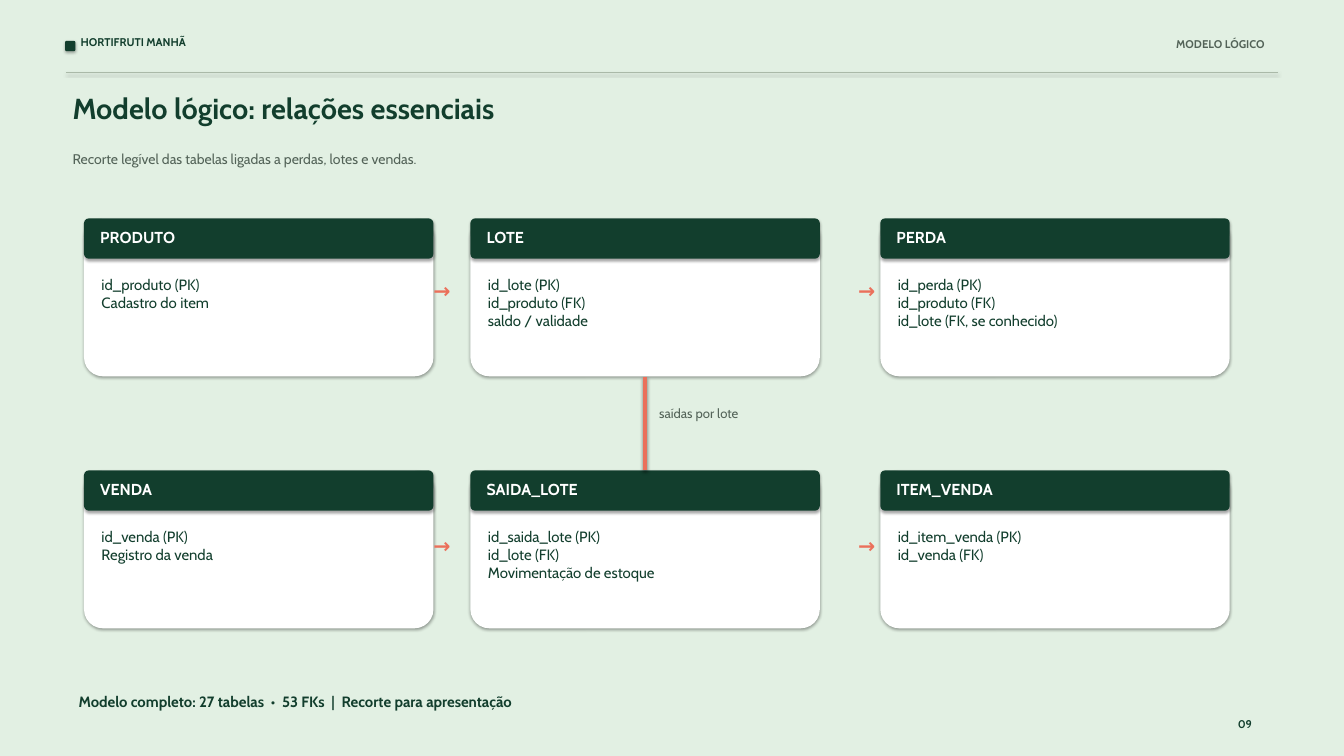
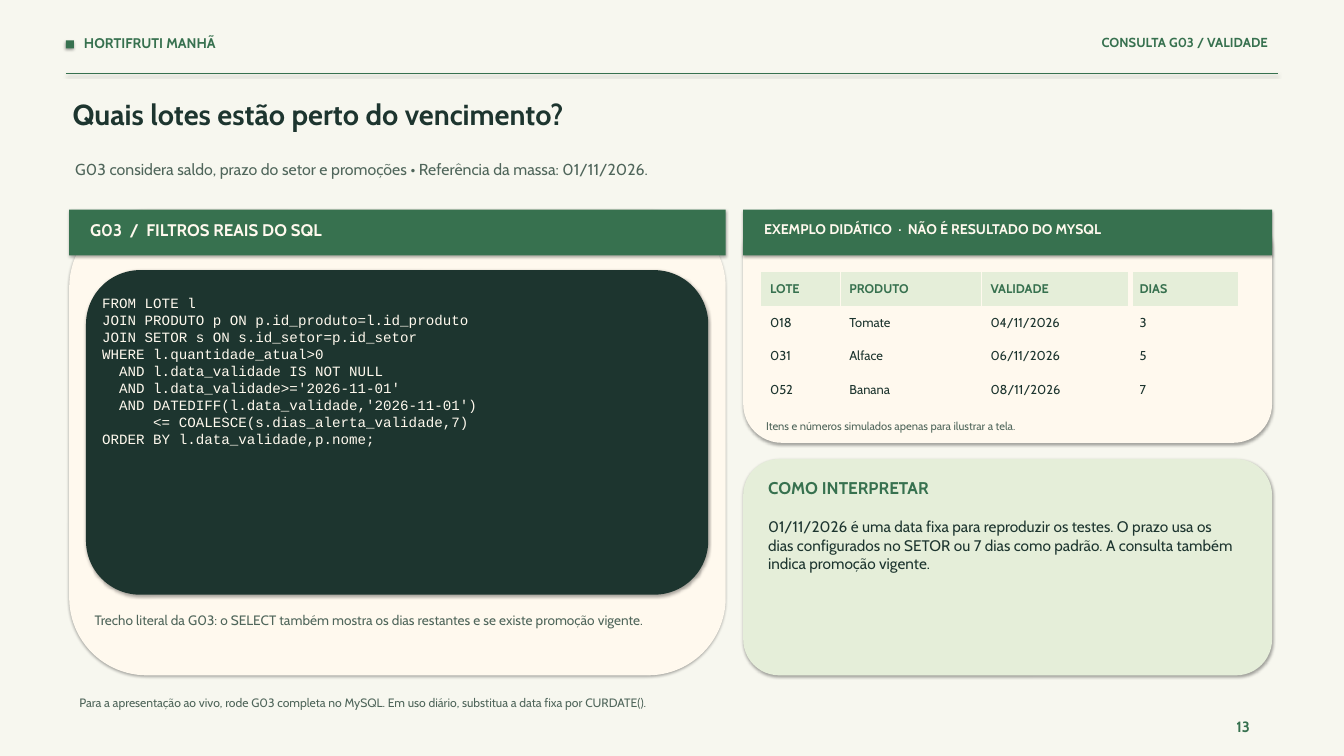
from lxml import etree
from pptx import Presentation
from pptx.dml.color import RGBColor
from pptx.enum.shapes import MSO_CONNECTOR, MSO_SHAPE
from pptx.enum.text import MSO_ANCHOR, MSO_AUTO_SIZE, PP_ALIGN
from pptx.oxml.ns import qn
from pptx.util import Inches, Pt

RECT, ROUND = MSO_SHAPE.RECTANGLE, MSO_SHAPE.ROUNDED_RECTANGLE
LEFT, RIGHT = PP_ALIGN.LEFT, PP_ALIGN.RIGHT
TOP, MIDDLE = MSO_ANCHOR.TOP, MSO_ANCHOR.MIDDLE
GROW = MSO_AUTO_SIZE.SHAPE_TO_FIT_TEXT
STRAIGHT = MSO_CONNECTOR.STRAIGHT

C = {
    "mint": "E2F0E3", "forest": "123E2D", "slate": "536358", "rule": "AAB9A8",
    "coral": "EB705B", "white": "FFFFFF", "ivory": "F7F7EF", "green": "37714F",
    "ink": "1D352F", "moss": "50665B", "cream": "FFF9EE", "pale": "E5EED9",
}
RGB = {name: RGBColor.from_string(value) for name, value in C.items()}
FONT, MONO = "Cabin", "Courier New"
TIGHT, SIDE, BARE = (0.02, 0.02), (0.05, 0.01), (0.01, 0.01)


def add_text(s, box, text, size, color, bold=False, inset=TIGHT,
             align=LEFT, font=FONT, sp=None):
    """Write text in a new box, or in the placeholder given as sp."""
    x, y, w, h = (Inches(v) for v in box)
    if sp is None:
        sp = s.shapes.add_textbox(x, y, w, h)
    else:
        sp.left, sp.top, sp.width, sp.height = x, y, w, h
    tf = sp.text_frame
    tf.text = text
    tf.word_wrap = True
    tf.auto_size = GROW
    tf.vertical_anchor = TOP
    tf.margin_left = tf.margin_right = Inches(inset[0])
    tf.margin_top = tf.margin_bottom = Inches(inset[1])
    for p in tf.paragraphs:
        p.alignment = align
        for r in p.runs:
            r.font.name, r.font.size, r.font.bold = font, Pt(size), bold
            r.font.color.rgb = RGB[color]


def add_panel(s, kind, box, color, adj=None):
    """Add a filled shape that keeps the soft shadow of the theme."""
    sp = s.shapes.add_shape(kind, *(Inches(v) for v in box))
    sp.fill.solid()
    sp.fill.fore_color.rgb = RGB[color]
    sp.line.fill.background()
    if adj is not None:
        sp.adjustments[0] = adj


prs = Presentation()
prs.slide_width, prs.slide_height = Inches(20), Inches(11.25)

# Shared frame: background, header, rule, title, subtitle, page number
frames = [
    dict(bg="mint", inset=TIGHT, accent="forest", rule=("rule", 1.08),
         marker=(ROUND, (0.97, 0.61, 0.15, 0.15), 0.12),
         brand=((1.18, 0.5, 5, 0.35), 12),
         section=((15.7, 0.53, 3.14, 0.35), "MODELO LÓGICO", 12, "slate"),
         title=((1.06, 1.32, 17.9, 0.86), "Modelo lógico: relações essenciais", 31, "forest"),
         subtitle=((1.06, 2.22, 17.9, 0.5),
                   "Recorte legível das tabelas ligadas a perdas, lotes e vendas.", 15, "slate"),
         page=((18.4, 10.66, 0.5, 0.31), "09", 12)),
    dict(bg="ivory", inset=SIDE, accent="green", rule=("green", 1.09),
         marker=(RECT, (0.98, 0.6, 0.12, 0.12), None),
         brand=((1.2, 0.5, 5.8, 0.35), 15),
         section=((13.4, 0.5, 5.52, 0.35), "CONSULTA G03 / VALIDADE", 14, "green"),
         title=((1.03, 1.42, 18, 0.75), "Quais lotes estão perto do vencimento?", 31, "ink"),
         subtitle=((1.07, 2.36, 17.8, 0.5),
                   "G03 considera saldo, prazo do setor e promoções • "
                   "Referência da massa: 01/11/2026.", 17, "moss"),
         page=((18.35, 10.67, 0.65, 0.35), "13", 16)),
]
for f in frames:
    s = prs.slides.add_slide(prs.slide_layouts[5])
    s.background.fill.solid()
    s.background.fill.fore_color.rgb = RGB[f["bg"]]
    inset, accent = f["inset"], f["accent"]
    kind, box, adj = f["marker"]
    add_panel(s, kind, box, accent, adj)
    box, size = f["brand"]
    add_text(s, box, "HORTIFRUTI MANHÃ", size, accent, True, inset)
    add_text(s, *f["section"], True, inset, RIGHT)
    color, y = f["rule"]
    rule = s.shapes.add_connector(STRAIGHT, Inches(0.98), Inches(y), Inches(19.02), Inches(y))
    rule.line.color.rgb = RGB[color]
    rule.line.width = Pt(1.5)
    add_text(s, *f["title"], True, inset, sp=s.shapes.title)
    add_text(s, *f["subtitle"], inset=inset)
    add_text(s, *f["page"], accent, True, inset)

model, query = prs.slides

# Slide 1: grid of entity cards
columns, rows = (1.25, 7, 13.1), (3.25, 7)
entities = [
    [("PRODUTO", "id_produto (PK)\nCadastro do item"),
     ("LOTE", "id_lote (PK)\nid_produto (FK)\nsaldo / validade"),
     ("PERDA", "id_perda (PK)\nid_produto (FK)\nid_lote (FK, se conhecido)")],
    [("VENDA", "id_venda (PK)\nRegistro da venda"),
     ("SAIDA_LOTE", "id_saida_lote (PK)\nid_lote (FK)\nMovimentação de estoque"),
     ("ITEM_VENDA", "id_item_venda (PK)\nid_venda (FK)")],
]
for y, row in zip(rows, entities):
    for x, (name, fields) in zip(columns, row):
        add_panel(model, ROUND, (x, y, 5.2, 2.35), "white", 0.12)
        add_panel(model, ROUND, (x, y, 5.2, 0.6), "forest", 0.12)
        add_text(model, (x + 0.22, y + 0.11, 4.75, 0.42), name, 17, "white", True)
        add_text(model, (x + 0.24, y + 0.83, 4.76, 1.38), fields, 16, "forest")

# Slide 1: relations between the cards
for y in (4.12, 7.91):
    for x, w in ((6.43, 0.56), (12.75, 0.36)):
        add_text(model, (x, y, w, 0.38), "→", 22, "coral", True)
link = model.shapes.add_connector(STRAIGHT, Inches(9.6), Inches(5.61), Inches(9.6), Inches(7))
link.line.color.rgb = RGB["coral"]
link.line.width = Pt(5)
add_text(model, (9.79, 6.02, 3.1, 0.39), "saídas por lote", 14, "slate")
add_text(model, (1.15, 10.28, 13.8, 0.52),
         "Modelo completo: 27 tabelas  •  53 FKs  |  Recorte para apresentação",
         16, "forest", True)

# Slide 2: panels
for kind, box, color in [
    (ROUND, (1.03, 3.12, 9.77, 6.93), "cream"),
    (RECT, (1.03, 3.12, 9.77, 0.68), "green"),
    (ROUND, (1.28, 4.02, 9.26, 4.83), "ink"),
    (ROUND, (11.06, 3.12, 7.87, 3.47), "cream"),
    (RECT, (11.06, 3.12, 7.87, 0.68), "green"),
    (ROUND, (11.06, 6.83, 7.87, 3.22), "pale"),
]:
    add_panel(query, kind, box, color)

# Slide 2: SQL excerpt
sql = """FROM LOTE l
JOIN PRODUTO p ON p.id_produto=l.id_produto
JOIN SETOR s ON s.id_setor=p.id_setor
WHERE l.quantidade_atual>0
  AND l.data_validade IS NOT NULL
  AND l.data_validade>='2026-11-01'
  AND DATEDIFF(l.data_validade,'2026-11-01')
      <= COALESCE(s.dias_alerta_validade,7)
ORDER BY l.data_validade,p.nome;"""
add_text(query, (1.51, 4.37, 8.91, 4.11), sql, 15.2, "cream", inset=BARE, font=MONO)

# Slide 2: headings and notes
for box, text, size, color, bold in [
    ((1.29, 3.26, 9.23, 0.38), "G03  /  FILTROS REAIS DO SQL", 18, "cream", True),
    ((1.36, 9.1, 9.2, 0.77),
     "Trecho literal da G03: o SELECT também mostra os dias restantes "
     "e se existe promoção vigente.", 14.6, "moss", False),
    ((11.32, 3.27, 7.32, 0.39),
     "EXEMPLO DIDÁTICO  ·  NÃO É RESULTADO DO MYSQL", 15, "cream", True),
    ((11.35, 6.23, 7.24, 0.27),
     "Itens e números simulados apenas para ilustrar a tela.", 12, "moss", False),
    ((11.38, 7.1, 7.19, 0.45), "COMO INTERPRETAR", 18.2, "green", True),
    ((11.38, 7.69, 7.03, 1.94),
     "01/11/2026 é uma data fixa para reproduzir os testes. O prazo usa os dias "
     "configurados no SETOR ou 7 dias como padrão. A consulta também indica "
     "promoção vigente.", 16.4, "ink", False),
    ((1.13, 10.34, 17.68, 0.31),
     "Para a apresentação ao vivo, rode G03 completa no MySQL. Em uso diário, "
     "substitua a data fixa por CURDATE().", 13, "moss", False),
]:
    add_text(query, box, text, size, color, bold, SIDE)

# Slide 2: table of lots
lots = [
    ("LOTE", "PRODUTO", "VALIDADE", "DIAS"),
    ("018", "Tomate", "04/11/2026", "3"),
    ("031", "Alface", "06/11/2026", "5"),
    ("052", "Banana", "08/11/2026", "7"),
]
widths, gaps = (1.18, 2.1, 2.22, 1.6), (1, 1.5, 6, 0)
table = query.shapes.add_table(4, 4, Inches(11.32), Inches(4.05),
                               Inches(sum(widths)), Inches(2)).table
table.horz_banding = False
for column, width in zip(table.columns, widths):
    column.width = Inches(width)
for i, row in enumerate(lots):
    head = i == 0
    table.rows[i].height = Inches(0.5)
    for j, text in enumerate(row):
        cell = table.cell(i, j)
        cell.text = text
        cell.vertical_anchor = MIDDLE
        cell.margin_left, cell.margin_right = Inches(0.14), Inches(0.05)
        cell.margin_top = cell.margin_bottom = Inches(0.01)
        r = cell.text_frame.paragraphs[0].runs[0]
        r.font.name, r.font.bold = FONT, head
        r.font.size = Pt(13.5 if head else 13.8)
        r.font.color.rgb = RGB["green" if head else "ink"]
        # Borders in the panel colour leave gaps between the header cells
        tc_pr = cell._tc.get_or_add_tcPr()
        left = gaps[j - 1] if j else 0
        for tag, width in (("a:lnL", left), ("a:lnR", gaps[j]), ("a:lnT", 0), ("a:lnB", 0)):
            ln = etree.SubElement(tc_pr, qn(tag), w=str(Pt(width)))
            if head and width:
                fill = etree.SubElement(ln, qn("a:solidFill"))
                etree.SubElement(fill, qn("a:srgbClr"), val=C["cream"])
            else:
                etree.SubElement(ln, qn("a:noFill"))
        cell.fill.solid()
        cell.fill.fore_color.rgb = RGB["pale" if head else "cream"]

prs.save("out.pptx")
